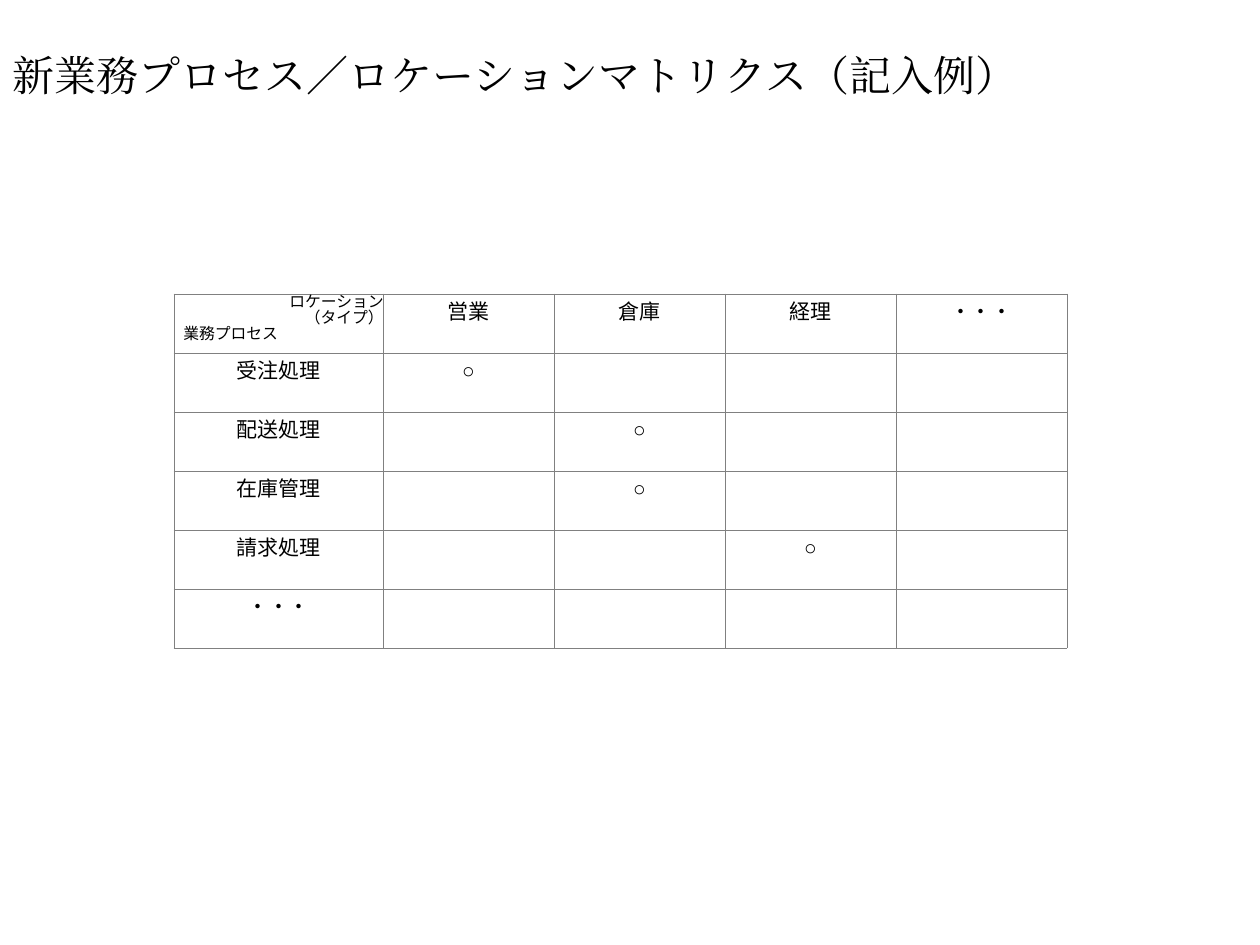
"""Builds the business process and location matrix slide."""
from lxml.etree import SubElement
from pptx import Presentation
from pptx.dml.color import RGBColor
from pptx.enum.text import MSO_ANCHOR as Anchor, MSO_AUTO_SIZE as AutoSize, PP_ALIGN as Align
from pptx.oxml import parse_xml
from pptx.oxml.ns import nsdecls, qn
from pptx.util import Pt

EMU_PER_PX = 914400 / 126


def px(length):
    return round(length * EMU_PER_PX)


def color(value):
    return RGBColor.from_string(value)


class MatrixSlide:
    ink = "000000"
    grid = "808080"
    title_font = "Times New Roman"
    table_font = "Arial"
    label_font = "Noto Sans CJK JP"

    def __init__(self, presentation):
        self.slide = presentation.slides.add_slide(presentation.slide_layouts[5])

    def add_text(self, paragraph, text, size, font_name, align=Align.LEFT):
        paragraph.alignment = align
        for index, line in enumerate(text.split("\n")):
            if index:
                paragraph.add_line_break()
            run = paragraph.add_run()
            run.text = line
            run.font.size = Pt(size)
            run.font.color.rgb = color(self.ink)
            run.font.name = font_name
            SubElement(run.font._element, qn("a:ea")).set("typeface", font_name)

    def title(self, text, left, top, width, height):
        shape = self.slide.shapes.title
        shape.left, shape.top, shape.width, shape.height = map(px, (left, top, width, height))
        frame = shape.text_frame
        frame.auto_size = AutoSize.NONE
        frame.word_wrap = True
        frame.vertical_anchor = Anchor.BOTTOM
        self.add_text(frame.paragraphs[0], text, 24, self.title_font)

    def label(self, text, left, top, width, height, align=Align.LEFT):
        shape = self.slide.shapes.add_textbox(*map(px, (left, top, width, height)))
        frame = shape.text_frame
        frame.word_wrap = False
        paragraph = frame.paragraphs[0]
        paragraph.line_spacing = 0.83
        self.add_text(paragraph, text, 9, self.label_font, align)

    def border(self, cell):
        properties = cell._tc.get_or_add_tcPr()
        for index, side in enumerate(("lnL", "lnR", "lnT", "lnB")):
            properties.insert(index, parse_xml(
                f'<a:{side} {nsdecls("a")} w="{Pt(0.45)}"><a:solidFill>'
                f'<a:srgbClr val="{self.grid}"/></a:solidFill></a:{side}>'))

    def table(self, rows, left, top, column_widths, row_height):
        table = self.slide.shapes.add_table(
            len(rows), len(column_widths), px(left), px(top),
            px(sum(column_widths)), px(row_height * len(rows))).table
        table.first_row = table.horz_banding = False
        for column, width in zip(table.columns, column_widths):
            column.width = px(width)
        for row, texts in zip(table.rows, rows):
            row.height = px(row_height)
            for cell, text in zip(row.cells, texts):
                cell.fill.background()
                self.border(cell)
                paragraph = cell.text_frame.paragraphs[0]
                paragraph.space_before = Pt(3)
                if text:
                    self.add_text(paragraph, text, 12, self.table_font, Align.CENTER)
                else:
                    paragraph.font.size = Pt(12)


def main():
    presentation = Presentation()
    presentation.slide_width, presentation.slide_height = px(1260), px(945)
    matrix = MatrixSlide(presentation)
    matrix.title("新業務プロセス／ロケーションマトリクス（記入例）", 0, 30, 1260, 76)

    locations = ["営業", "倉庫", "経理", "・・・"]
    process_locations = {
        "受注処理": "営業",
        "配送処理": "倉庫",
        "在庫管理": "倉庫",
        "請求処理": "経理",
        "・・・": None,
    }
    rows = [["", *locations]]
    for process, used in process_locations.items():
        rows.append([process, *("○" if location == used else "" for location in locations)])
    matrix.table(rows, 174, 294, [209] + [171] * len(locations), 59)

    matrix.label("ロケーション\n（タイプ）", 276, 289, 120, 50, Align.RIGHT)
    matrix.label("業務プロセス", 171, 321, 120, 32)
    presentation.save("out.pptx")


if __name__ == "__main__":
    main()
